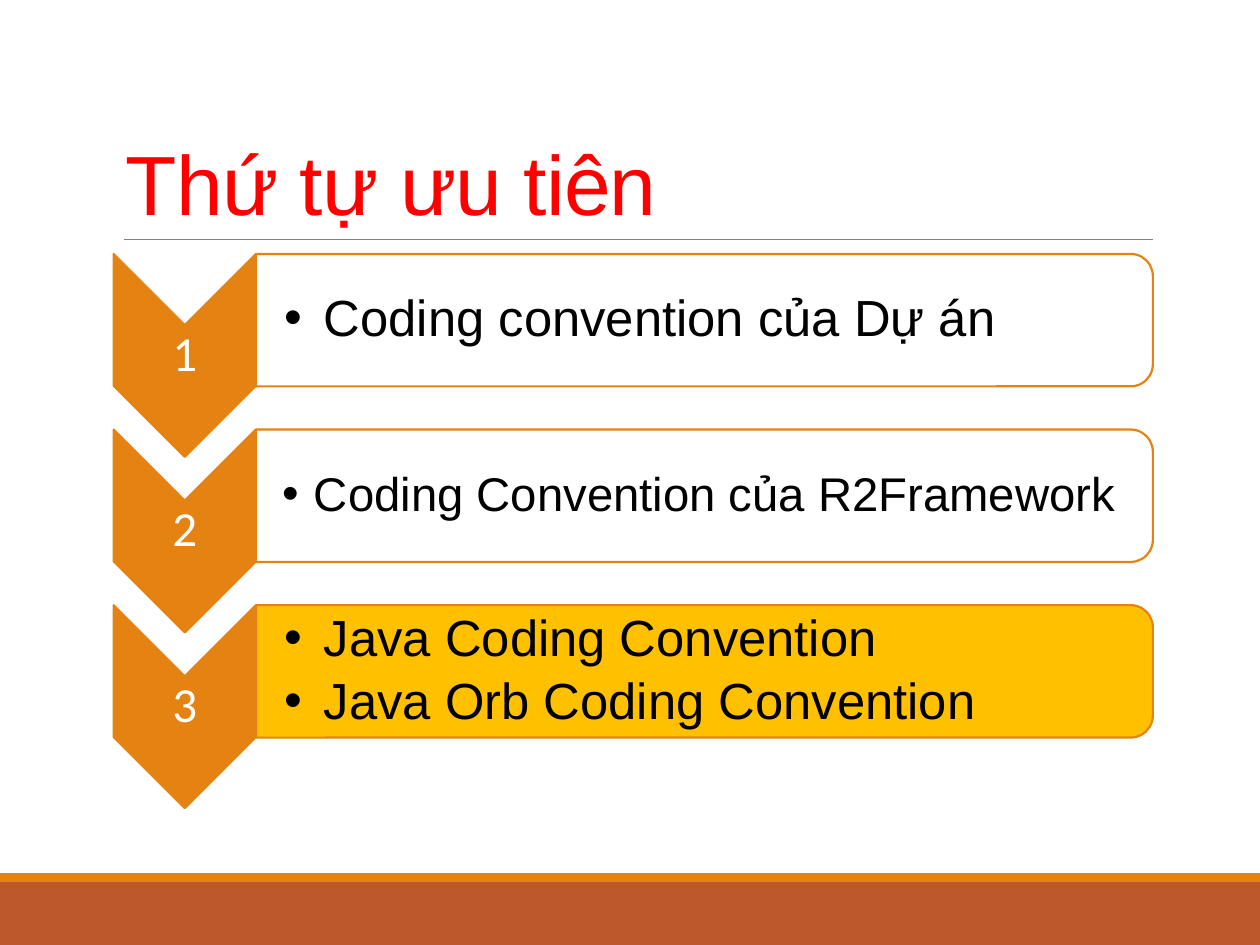
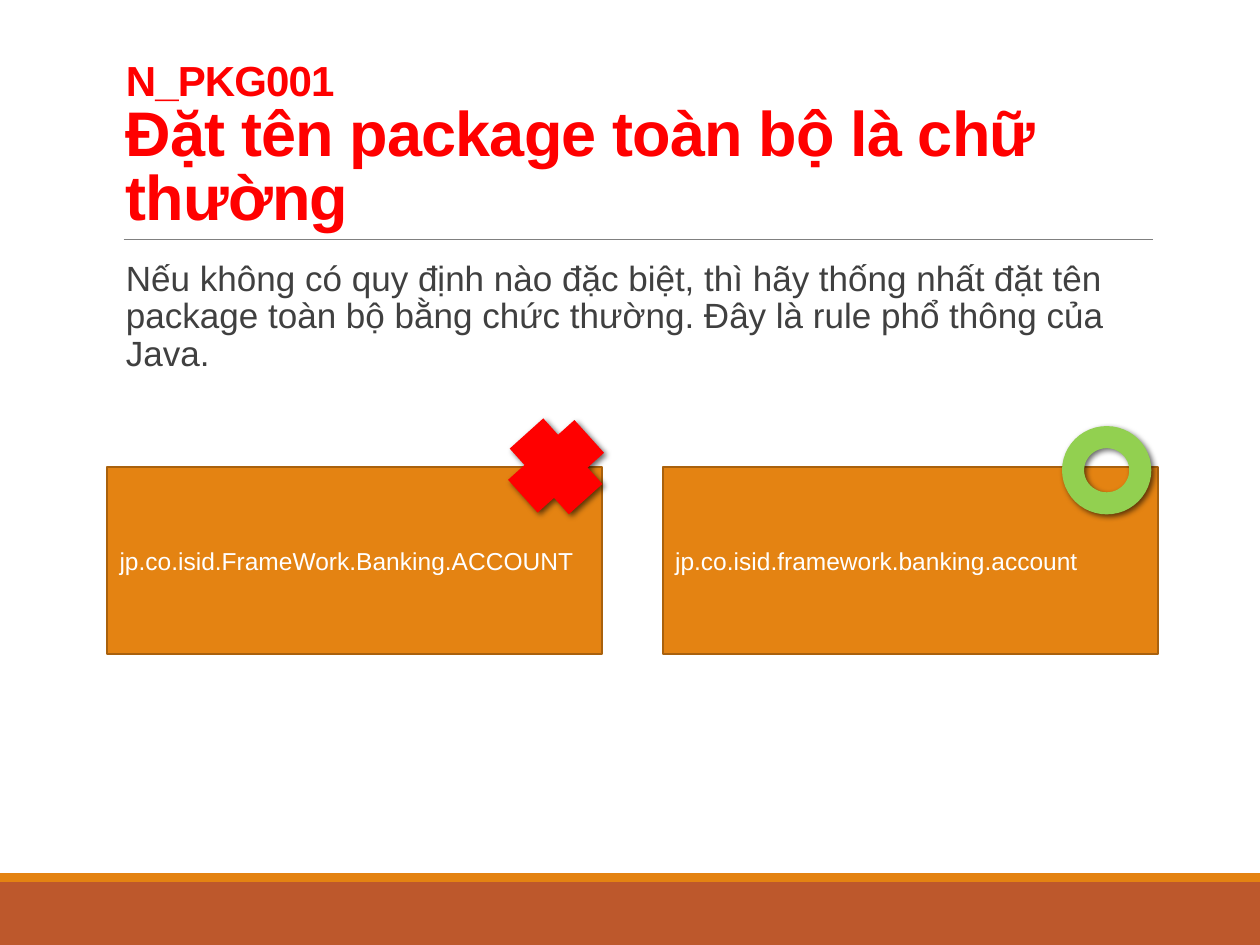
from lxml import etree
from pptx import Presentation
from pptx import util as u
from pptx.dml.color import RGBColor
from pptx.enum import shapes, text
from pptx.oxml.ns import qn

COLORS = {
    "title": "FF0000", "band": "BD582C", "accent": "E48312", "accent_edge": "A9610D",
    "rule": "808080", "body": "404040", "black": "000000", "white": "FFFFFF",
    "highlight": "FFC000", "wrong": "FF0000", "right": "92D050",
}
FONT = "Arial"
NUMBER_FONT = "Calibri"
PRESET = shapes.MSO_SHAPE
LEFT, CONTENT_WIDTH = 2.29, 20.95
ROW_TOP, ROW_PITCH, ROW_HEIGHT = 5.12, 3.54, 2.67
CHEVRON_WIDTH, CHEVRON_HEIGHT = 2.87, 4.09


def color(name):
    return RGBColor.from_string(COLORS[name])


def box(*lengths):
    return [u.Cm(length) for length in lengths]


def add_block(slide, preset, at, fill, edge=None):
    block = slide.shapes.add_shape(preset, *box(*at))
    block.shadow.inherit = False
    block.fill.solid()
    block.fill.fore_color.rgb = color(fill)
    if edge:
        block.line.color.rgb = color(edge)
        block.line.width = u.Pt(1.25)
    else:
        block.line.fill.background()
    return block


def add_turned_block(slide, preset, at, fill):
    """Place a shape turned by 90 degrees; at is the area it covers once turned."""
    left, top, width, height = at
    shift = (width - height) / 2
    block = add_block(slide, preset, (left + shift, top - shift, height, width), fill, "accent")
    block.rotation = 90


def add_text(slide, at, lines, anchor, insets):
    frame = slide.shapes.add_textbox(*box(*at)).text_frame
    frame.word_wrap = True
    frame.vertical_anchor = anchor
    frame.margin_left, frame.margin_top, frame.margin_right, frame.margin_bottom = box(*insets)
    frame.text = "\n".join(lines)
    return frame


def style(run, size, shade, font=FONT, bold=False):
    run.font.size = u.Pt(size)
    run.font.name = font
    run.font.bold = bold
    run.font.color.rgb = color(shade)


def add_bullet(paragraph, indent):
    properties = paragraph._p.get_or_add_pPr()
    properties.set("marL", str(u.Cm(indent)))
    properties.set("indent", str(-u.Cm(indent)))
    etree.SubElement(properties, qn("a:buFont")).set("typeface", FONT)
    etree.SubElement(properties, qn("a:buChar")).set("char", "•")


def add_soft_shadow(block):
    effects = block._element.spPr.find(qn("a:effectLst"))
    shadow = etree.SubElement(effects, qn("a:outerShdw"), blurRad=str(u.Pt(3.5)),
                              dist=str(u.Pt(2)), dir="2700000", rotWithShape="0")
    shade = etree.SubElement(shadow, qn("a:srgbClr"), val=COLORS["black"])
    etree.SubElement(shade, qn("a:alpha"), val="60000")


def add_titled_slide(deck, title_lines, sizes, bold=False):
    slide = deck.slides.add_slide(deck.slide_layouts[6])
    add_block(slide, PRESET.RECTANGLE, (0, 17.78, 25.4, 1.27), "band")
    add_block(slide, PRESET.RECTANGLE, (0, 17.6, 25.4, 0.18), "accent")
    rule = slide.shapes.add_connector(shapes.MSO_CONNECTOR.STRAIGHT, *box(2.49, 4.83, 23.24, 4.83))
    rule.line.color.rgb = color("rule")
    rule.line.width = u.Pt(0.5)
    etree.SubElement(rule._element.spPr, qn("a:effectLst"))

    frame = add_text(slide, (LEFT, 0.79, CONTENT_WIDTH, 4.04), ["\v".join(title_lines)],
                     text.MSO_ANCHOR.BOTTOM, (0.25, 0.13, 0.25, 0.13))
    title = frame.paragraphs[0]
    title.line_spacing = 0.85
    for run, size in zip(title.runs, sizes):
        style(run, size, "title", bold=bold)
        run._r.get_or_add_rPr().set("spc", "-50")
    return slide


def add_priority(slide, rank, conventions, fill="white", size=29, inset=0.58, indent=0.79):
    top = ROW_TOP + (rank - 1) * ROW_PITCH
    panel_left = LEFT + CHEVRON_WIDTH
    add_turned_block(slide, PRESET.CHEVRON, (LEFT, top, CHEVRON_WIDTH, CHEVRON_HEIGHT), "accent")
    number = add_text(slide, (LEFT, top + 1.43, CHEVRON_WIDTH, 1.22), [str(rank)],
                      text.MSO_ANCHOR.MIDDLE, [0.05] * 4).paragraphs[0]
    number.alignment = text.PP_ALIGN.CENTER
    number.line_spacing = 0.9
    style(number.runs[0], 28, "white", NUMBER_FONT)

    add_turned_block(slide, PRESET.ROUND_2_SAME_RECTANGLE,
                     (panel_left, top, 18.08, ROW_HEIGHT), fill)
    frame = add_text(slide, (panel_left, top + 0.14, 17.96, 2.39), conventions,
                     text.MSO_ANCHOR.MIDDLE, (inset, 0.05, 0.05, 0.05))
    for convention in frame.paragraphs:
        add_bullet(convention, indent)
        convention.line_spacing = 0.9
        convention.space_after = u.Pt(4.35)
        style(convention.runs[0], size, "black")


def add_code_example(slide, left, package_name):
    panel = add_block(slide, PRESET.RECTANGLE, (left, 9.41, 9.98, 3.78), "accent", "accent_edge")
    frame = panel.text_frame
    frame.word_wrap = True
    frame.vertical_anchor = text.MSO_ANCHOR.MIDDLE
    frame.text = package_name
    frame.paragraphs[0].alignment = text.PP_ALIGN.LEFT
    style(frame.paragraphs[0].runs[0], 14, "white")


def add_verdict(slide, preset, left, top, fill, rotation=0):
    mark = add_block(slide, preset, (left, top, 1.8, 1.78), fill)
    mark.rotation = rotation
    add_soft_shadow(mark)


def build_priority_slide(deck):
    slide = add_titled_slide(deck, ["Thứ tự ưu tiên"], [48])
    add_priority(slide, 1, ["Coding convention của Dự án"])
    add_priority(slide, 2, ["Coding Convention của R2Framework"], size=27, inset=0.53, indent=0.64)
    add_priority(slide, 3, ["Java Coding Convention", "Java Orb Coding Convention"], "highlight")


def build_package_slide(deck):
    slide = add_titled_slide(deck, ["N_PKG001", "Đặt tên package toàn bộ là chữ thường"],
                             [24, 36], bold=True)
    frame = add_text(slide, (LEFT, 5.13, CONTENT_WIDTH, 11.18),
                     ["Nếu không có quy định nào đặc biệt, thì hãy thống nhất đặt tên package "
                      "toàn bộ bằng chức thường. Đây là rule phổ thông của Java."],
                     text.MSO_ANCHOR.TOP, (0.25, 0.13, 0, 0.13))
    explanation = frame.paragraphs[0]
    explanation.line_spacing = 0.9
    style(explanation.runs[0], 20, "body")

    add_code_example(slide, 2.16, "jp.co.isid.FrameWork.Banking.ACCOUNT")
    add_code_example(slide, 13.36, "jp.co.isid.framework.banking.account")
    add_verdict(slide, PRESET.CROSS, 10.31, 8.51, "wrong", 318)
    add_verdict(slide, PRESET.DONUT, 21.41, 8.59, "right")


def main():
    deck = Presentation()
    deck.slide_width, deck.slide_height = box(25.4, 19.05)
    build_priority_slide(deck)
    build_package_slide(deck)
    deck.save("out.pptx")


if __name__ == "__main__":
    main()
